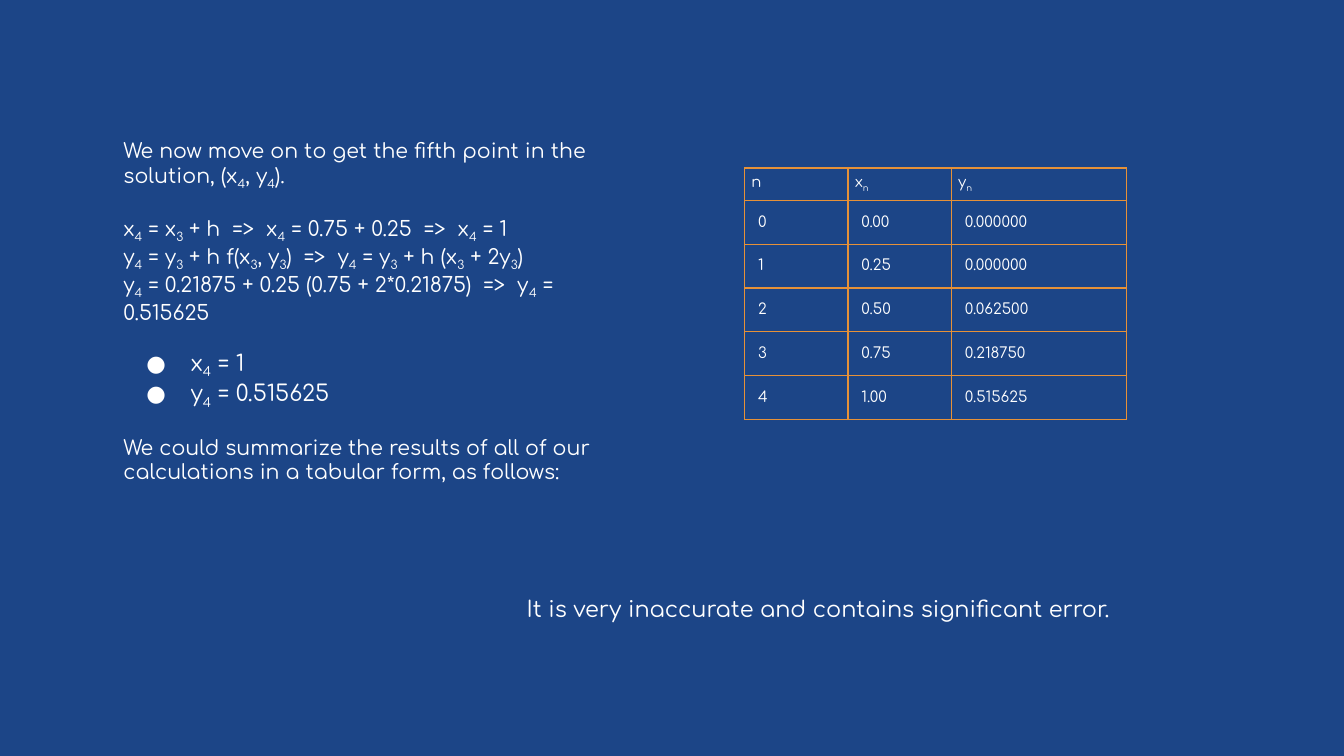
from lxml import etree
from pptx import Presentation
from pptx.dml.color import RGBColor
from pptx.enum import text
from pptx.oxml.ns import qn
from pptx.util import Inches, Pt

# Content: the character after "_" is a subscript
# Each block of paragraphs: (size, bulleted, lines)
BLOCKS = [
    (11, False, ["We now move on to get the fifth point in the solution, (x_4, y_4)."]),
    (11, False, [
        "x_4 = x_3 + h  =>  x_4 = 0.75 + 0.25  =>  x_4 = 1",
        "y_4 = y_3 + h f(x_3, y_3)  =>  y_4 = y_3 + h (x_3 + 2y_3)",
        "y_4 = 0.21875 + 0.25 (0.75 + 2*0.21875)  =>  y_4 = 0.515625",
    ]),
    (12, True, ["x_4 = 1", "y_4 = 0.515625"]),
    (11, False, ["We could summarize the results of all of our calculations "
                 "in a tabular form, as follows:"]),
]
CONCLUSION = "It is very inaccurate and contains significant error."
RESULTS = [
    ("n", "x_n", "y_n"),
    ("0", "0.00", "0.000000"),
    ("1", "0.25", "0.000000"),
    ("2", "0.50", "0.062500"),
    ("3", "0.75", "0.218750"),
    ("4", "1.00", "0.515625"),
]

# Layout and style
WIDTH = 10
HEIGHT = WIDTH * 9 / 16
COLUMNS = (0.77, 0.77, 1.3)
HEAD_ROW, BODY_ROW = 0.23, 0.32
HEAD_INSET, INSET = 0.05, 0.1
BLOCK_GAP = 13.2
FONT = "Comfortaa"
BLUE = RGBColor(0x1C, 0x45, 0x87)
WHITE = RGBColor(0xFF, 0xFF, 0xFF)
ORANGE = RGBColor(0xE6, 0x91, 0x38)


def add_run(para, content, size, subscript=False):
    span = para.add_run()
    span.text = content
    span.font.name, span.font.size = FONT, Pt(size)
    span.font.color.rgb = WHITE
    if subscript:
        span._r.get_or_add_rPr().set("baseline", "-25000")


def write(para, line, size):
    first, *others = line.split("_")
    add_run(para, first, size)
    for part in others:
        add_run(para, part[0], size, subscript=True)
        if part[1:]:
            add_run(para, part[1:], size)


def add_bullet(para):
    props = para._p.get_or_add_pPr()
    props.set("marL", str(Inches(0.5)))
    props.set("indent", str(Inches(-0.33)))
    color = etree.SubElement(props, qn("a:buClr"))
    etree.SubElement(color, qn("a:srgbClr"), val=str(WHITE))
    etree.SubElement(props, qn("a:buFont"), typeface=FONT)
    etree.SubElement(props, qn("a:buChar"), char="●")


def set_margins(target, inset):
    target.margin_left = target.margin_right = Inches(inset)
    target.margin_top = target.margin_bottom = Inches(inset)


def add_text_box(page, left, top, width, height):
    box = page.shapes.add_textbox(*map(Inches, (left, top, width, height)))
    frame = box.text_frame
    frame.word_wrap = True
    set_margins(frame, INSET)
    return frame


def add_borders(cell):
    props = cell._tc.get_or_add_tcPr()
    for position, side in enumerate(("a:lnL", "a:lnR", "a:lnT", "a:lnB")):
        line = etree.Element(qn(side), w=str(Pt(0.75)))
        fill = etree.SubElement(line, qn("a:solidFill"))
        etree.SubElement(fill, qn("a:srgbClr"), val=str(ORANGE))
        props.insert(position, line)


def add_results(page, left, top):
    heights = [HEAD_ROW] + [BODY_ROW] * (len(RESULTS) - 1)
    table = page.shapes.add_table(
        len(RESULTS), len(COLUMNS), Inches(left), Inches(top),
        Inches(sum(COLUMNS)), Inches(sum(heights))).table
    table.first_row = table.horz_banding = False
    for column, width in zip(table.columns, COLUMNS):
        column.width = Inches(width)
    for r, (values, height) in enumerate(zip(RESULTS, heights)):
        table.rows[r].height = Inches(height)
        for c, value in enumerate(values):
            cell = table.cell(r, c)
            set_margins(cell, INSET if r else HEAD_INSET)
            cell.fill.background()
            add_borders(cell)
            write(cell.text_frame.paragraphs[0], value, 8)


def main():
    deck = Presentation()
    deck.slide_width, deck.slide_height = Inches(WIDTH), Inches(HEIGHT)
    page = deck.slides.add_slide(deck.slide_layouts[6])
    page.background.fill.solid()
    page.background.fill.fore_color.rgb = BLUE

    # Table of results
    add_results(page, 5.54, 1.25)

    # Worked solution
    frame = add_text_box(page, 0.82, 0.83, 3.81, 2.97)
    frame.vertical_anchor = text.MSO_ANCHOR.MIDDLE
    for b, (size, bulleted, lines) in enumerate(BLOCKS):
        for n, line in enumerate(lines):
            para = frame.add_paragraph() if b or n else frame.paragraphs[0]
            if b and n == 0:
                para.space_before = Pt(BLOCK_GAP)
            if bulleted:
                add_bullet(para)
            write(para, line, size)

    # Conclusion
    frame = add_text_box(page, 3.82, 4.33, 4.7, 0.42)
    write(frame.paragraphs[0], CONCLUSION, 12)

    deck.save("out.pptx")


if __name__ == "__main__":
    main()
